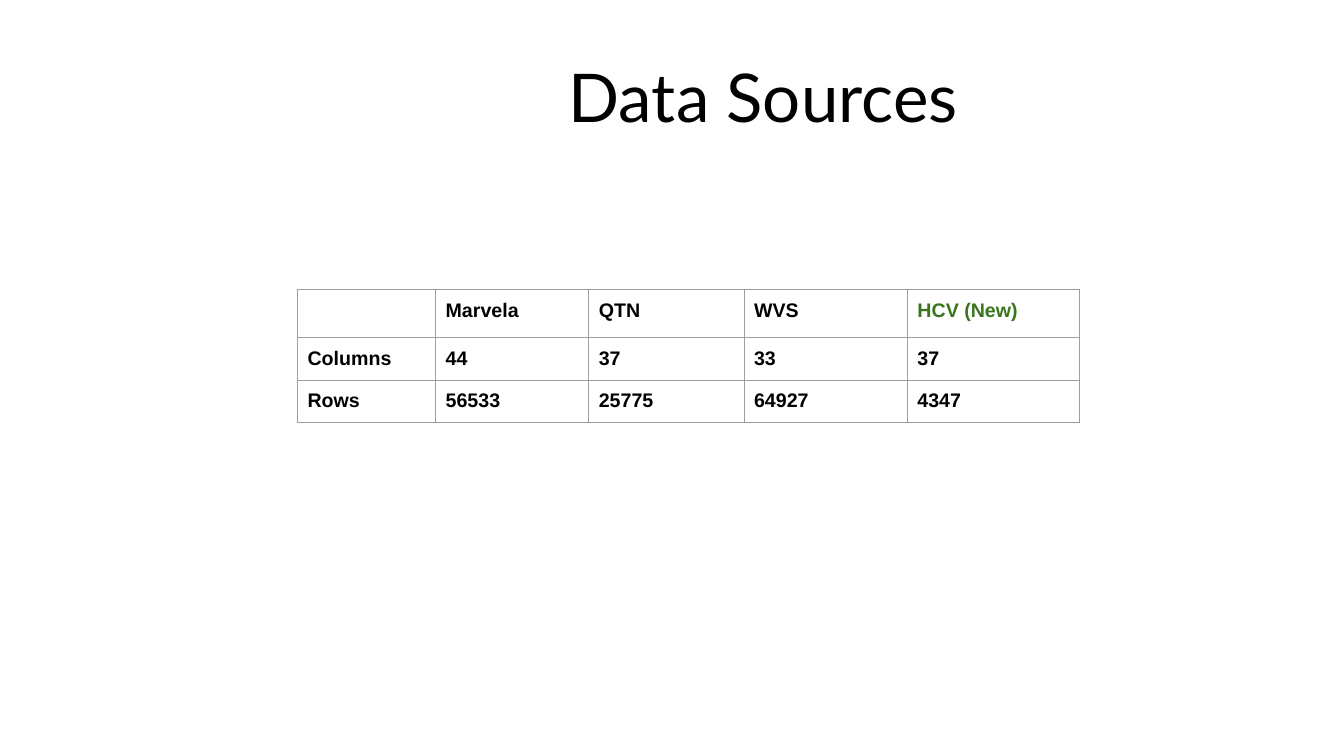
import pptx
import pptx.dml.color
import pptx.enum.text
import pptx.oxml
import pptx.oxml.ns
import pptx.util

SLIDE_WIDTH, SLIDE_HEIGHT = 13.33, 7.5
INSET = 0.1
BLACK, GREEN, GREY = "000000", "38761D", "9E9E9E"
COLUMN_WIDTHS = [1.37, 1.52, 1.54, 1.62, 1.71]
ROW_HEIGHTS = [0.47, 0.42, 0.42]
SOURCES = [
    ["", "Marvela", "QTN", "WVS", "HCV (New)"],
    ["Columns", "44", "37", "33", "37"],
    ["Rows", "56533", "25775", "64927", "4347"],
]


def color(value):
    """Turn a hex string into a colour."""
    return pptx.dml.color.RGBColor.from_string(value)


def write(frame, text, font="Arial", size=14, fill=BLACK, bold=False, align="LEFT"):
    """Put one formatted paragraph into a text frame."""
    frame.word_wrap = True
    para = frame.paragraphs[0]
    para.alignment = getattr(pptx.enum.text.PP_ALIGN, align)
    span = para.add_run()
    span.text = text
    span.font.name = font
    span.font.size = pptx.util.Pt(size)
    span.font.bold = bold
    span.font.color.rgb = color(fill)


def set_margins(holder):
    """Give a cell or text frame equal margins on all sides."""
    for side in ("left", "top", "right", "bottom"):
        setattr(holder, f"margin_{side}", pptx.util.Inches(INSET))


def add_borders(cell):
    """Draw thin grey lines on every side of a cell."""
    properties = cell._tc.get_or_add_tcPr()
    for position, side in enumerate(("lnL", "lnR", "lnT", "lnB")):
        line = pptx.oxml.parse_xml(
            f'<a:{side} {pptx.oxml.ns.nsdecls("a")} w="{pptx.util.Pt(0.75)}">'
            f'<a:solidFill><a:srgbClr val="{GREY}"/></a:solidFill></a:{side}>'
        )
        properties.insert(position, line)


def add_title(page, left, top, width, height):
    """Place and format the slide title."""
    title = page.shapes.title
    title.left, title.top, title.width, title.height = map(
        pptx.util.Inches, (left, top, width, height)
    )
    frame = title.text_frame
    frame.auto_size = pptx.enum.text.MSO_AUTO_SIZE.NONE
    frame.vertical_anchor = pptx.enum.text.MSO_ANCHOR.TOP
    set_margins(frame)
    write(frame, "Data Sources", font="Lato", size=48, align="CENTER")


def add_sources(page, left, top):
    """Build the table of data source sizes."""
    box = map(pptx.util.Inches, (left, top, sum(COLUMN_WIDTHS), sum(ROW_HEIGHTS)))
    table = page.shapes.add_table(len(SOURCES), len(SOURCES[0]), *box).table
    table.first_row = table.horz_banding = False
    for column, width in zip(table.columns, COLUMN_WIDTHS):
        column.width = pptx.util.Inches(width)
    for row, height, values in zip(table.rows, ROW_HEIGHTS, SOURCES):
        row.height = pptx.util.Inches(height)
        for cell, value in zip(row.cells, values):
            cell.fill.background()
            set_margins(cell)
            add_borders(cell)
            write(cell.text_frame, value, bold=True,
                  fill=GREEN if value == "HCV (New)" else BLACK)


def main():
    """Create and save the deck."""
    deck = pptx.Presentation()
    deck.slide_width = pptx.util.Inches(SLIDE_WIDTH)
    deck.slide_height = pptx.util.Inches(SLIDE_HEIGHT)
    page = deck.slides.add_slide(deck.slide_layouts[5])
    add_title(page, 1.72, 0.45, 11.7, 1.9)
    add_sources(page, 2.95, 2.87)
    deck.save("out.pptx")


if __name__ == "__main__":
    main()
